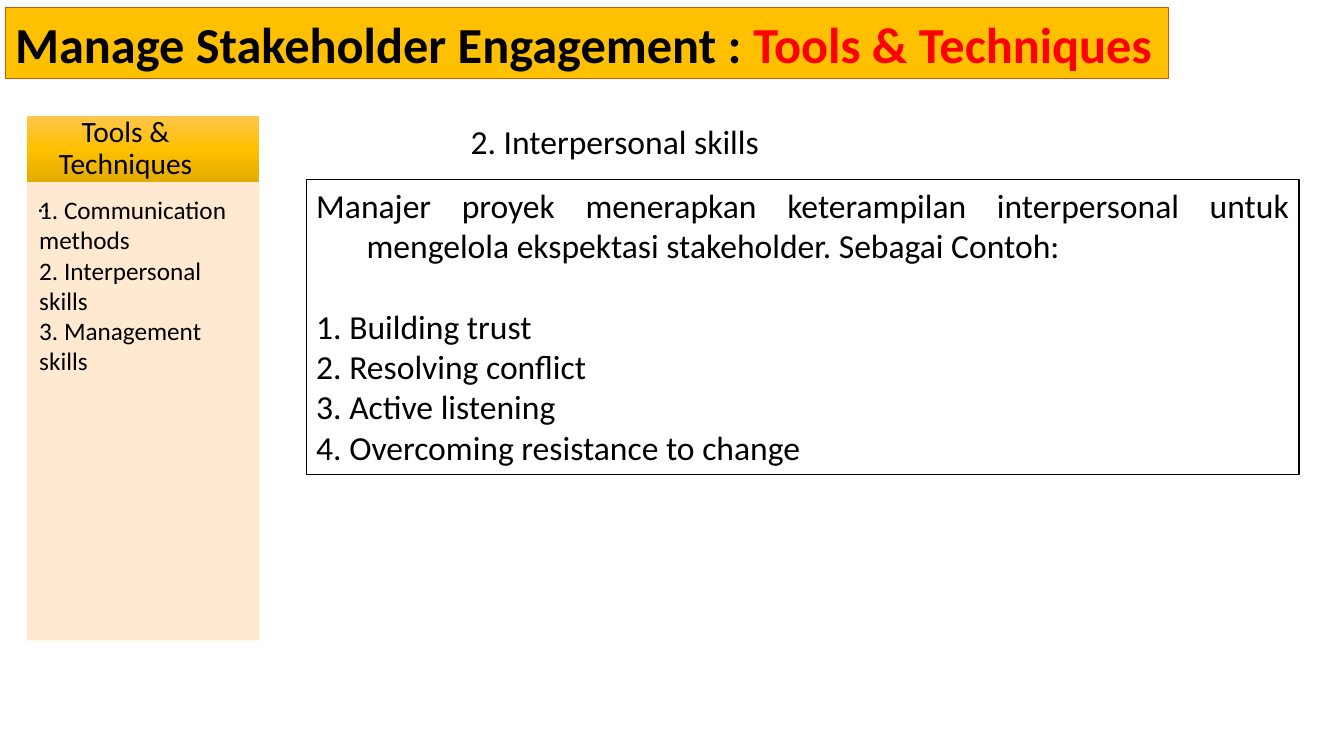
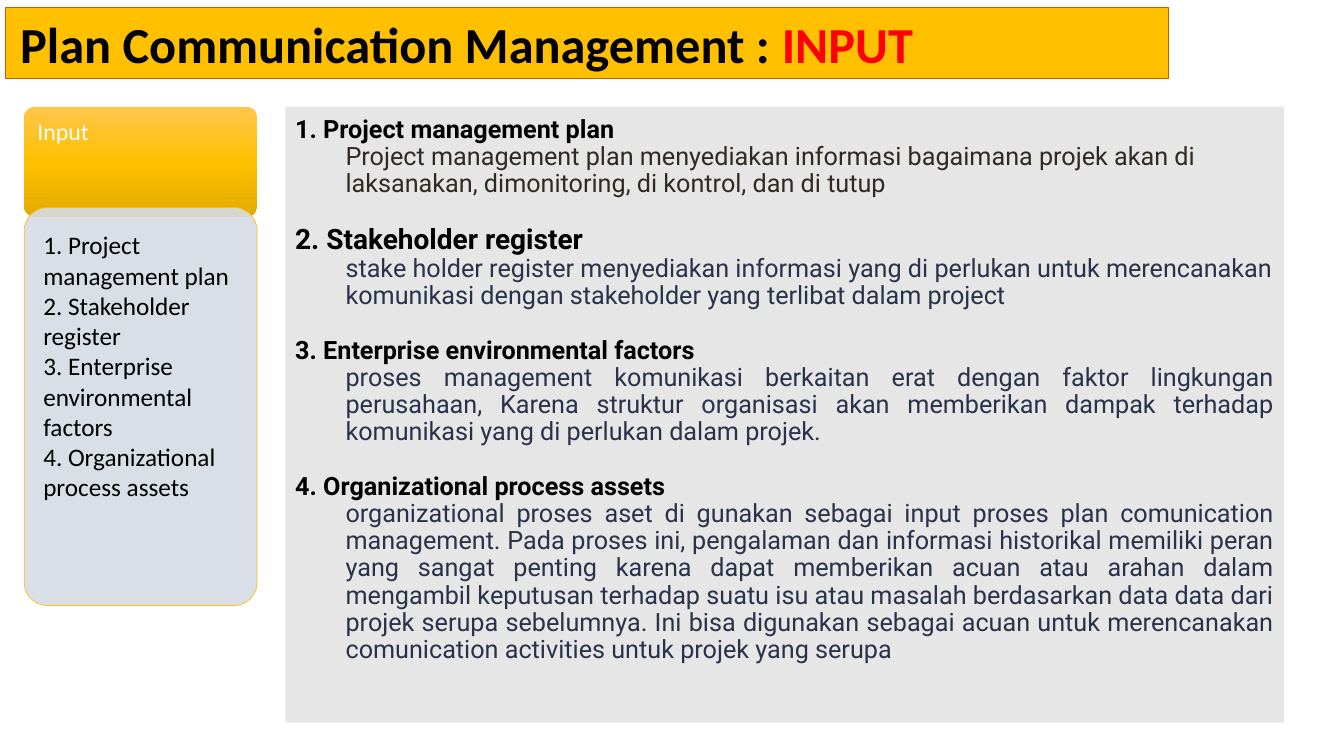
import copy

import pptx
import pptx.dml.color
import pptx.enum.shapes
import pptx.enum.text
import pptx.oxml.ns
import pptx.util
from pptx.util import Cm

RECT = pptx.enum.shapes.MSO_SHAPE.RECTANGLE
ROUNDED = pptx.enum.shapes.MSO_SHAPE.ROUNDED_RECTANGLE
ALIGN = pptx.enum.text.PP_ALIGN
ANCHOR = pptx.enum.text.MSO_ANCHOR

BLACK, WHITE, RED = "000000", "FFFFFF", "FF0000"
GOLD, RUST, PEACH = "FFC000", "C55A11", "FFE8CC"
MIST, GREY = "D6DCE5", "E7E6E6"
NAVY, OLIVE = "28324A", "2F2B20"
GOLD_FADE = ((0, "FFC64B"), (0.5, GOLD), (1, "E3AB00"))
INDENT = 1.27
DEFAULT_INSETS = (0.25, 0.13, 0.25, 0.13)

SKILLS = [
    "1. Building trust",
    "2. Resolving conflict",
    "3. Active listening",
    "4. Overcoming resistance to change",
]
TECHNIQUES = [
    "1. Communication methods",
    "2. Interpersonal skills",
    "3. Management skills",
]
INPUTS = [
    ("1. Project management plan", 18, OLIVE, ALIGN.LEFT,
     "Project management plan menyediakan informasi bagaimana projek akan di "
     "laksanakan, dimonitoring, di kontrol, dan di tutup"),
    ("2. Stakeholder register", 20, NAVY, ALIGN.LEFT,
     "stake holder register menyediakan informasi yang di perlukan untuk "
     "merencanakan komunikasi dengan stakeholder yang terlibat dalam project"),
    ("3. Enterprise environmental factors", 18, NAVY, ALIGN.JUSTIFY,
     "proses management komunikasi berkaitan erat dengan faktor lingkungan "
     "perusahaan, Karena struktur organisasi akan memberikan dampak terhadap "
     "komunikasi yang di perlukan dalam projek."),
    ("4. Organizational process assets", 18, NAVY, ALIGN.JUSTIFY,
     "organizational proses aset di gunakan sebagai input proses plan "
     "comunication management. Pada proses ini, pengalaman dan informasi "
     "historikal memiliki peran yang sangat penting karena dapat memberikan "
     "acuan atau arahan dalam mengambil keputusan terhadap suatu isu atau "
     "masalah berdasarkan data data dari projek serupa sebelumnya. Ini bisa "
     "digunakan sebagai acuan untuk merencanakan comunication activities "
     "untuk projek yang serupa"),
]


def rgb(value):
    """Turn a hex string into a colour."""
    return pptx.dml.color.RGBColor.from_string(value)


def set_frame(frame, insets, anchor):
    """Set wrapping, anchor and the left, top, right and bottom insets."""
    frame.word_wrap = True
    frame.vertical_anchor = anchor
    (frame.margin_left, frame.margin_top,
     frame.margin_right, frame.margin_bottom) = map(Cm, insets)


def write(frame, text, *, size=18, color=BLACK, bold=False, font="Calibri",
          align=ALIGN.LEFT, indent=0, first_line=0, before=0, spacing=1.0,
          accent=""):
    """Add a formatted paragraph, with an optional red ending."""
    paragraph = frame.paragraphs[0]
    if paragraph.runs:
        paragraph = frame.add_paragraph()
    properties = paragraph._p.get_or_add_pPr()
    properties.set("marL", str(Cm(indent)))
    properties.set("indent", str(Cm(first_line)))
    paragraph.alignment = align
    paragraph.line_spacing = spacing
    paragraph.space_before = pptx.util.Pt(before)
    for wording, ink in ((text, color), (accent, RED)):
        if wording:
            run = paragraph.add_run()
            run.text = wording
            run.font.name = font
            run.font.size = pptx.util.Pt(size)
            run.font.bold = bold
            run.font.color.rgb = rgb(ink)


def fade(shape, stops):
    """Fill a shape from top to bottom with three colours."""
    shape.fill.gradient()
    shape.fill.gradient_angle = 270
    stop_list = shape._element.spPr.find(".//" + pptx.oxml.ns.qn("a:gsLst"))
    stop_list.append(copy.deepcopy(stop_list[0]))
    for stop, (position, color) in zip(shape.fill.gradient_stops, stops):
        stop.position = position
        stop.color.rgb = rgb(color)


def make_translucent(shape, percent):
    """Give every plain colour of a shape the same opacity."""
    for color in shape._element.spPr.iter(pptx.oxml.ns.qn("a:srgbClr")):
        alpha = color.makeelement(pptx.oxml.ns.qn("a:alpha"), {"val": str(percent * 1000)})
        color.append(alpha)


def add_panel(slide, box, fill, *, kind=RECT, line=None, width=0.5,
              opacity=100, insets=DEFAULT_INSETS, anchor=ANCHOR.TOP):
    """Add a filled panel and return its text frame."""
    panel = slide.shapes.add_shape(kind, *map(Cm, box))
    panel.shadow.inherit = False
    if kind == ROUNDED:
        panel.adjustments[0] = 0.1
    if isinstance(fill, tuple):
        fade(panel, fill)
    else:
        panel.fill.solid()
        panel.fill.fore_color.rgb = rgb(fill)
    if line:
        panel.line.color.rgb = rgb(line)
        panel.line.width = pptx.util.Pt(width)
    else:
        panel.line.fill.background()
    if opacity < 100:
        make_translucent(panel, opacity)
    set_frame(panel.text_frame, insets, anchor)
    return panel.text_frame


def add_label(slide, box, insets=DEFAULT_INSETS):
    """Add an empty text box and return its text frame."""
    frame = slide.shapes.add_textbox(*map(Cm, box)).text_frame
    set_frame(frame, insets, ANCHOR.TOP)
    return frame


def add_titled_slide(deck, subject, topic, left_inset):
    """Add a blank slide with the gold title band."""
    slide = deck.slides.add_slide(deck.slide_layouts[6])
    title = add_panel(slide, (0.15, 0.2, 29.29, 1.78), GOLD, line=RUST,
                      width=0.75, insets=(left_inset, 0.13, 0.23, 0.13))
    write(title, subject, size=36, bold=True, accent=topic)
    return slide


def build_techniques(deck):
    """Build the slide on stakeholder engagement techniques."""
    slide = add_titled_slide(deck, "Manage Stakeholder Engagement : ",
                             "Tools & Techniques", 0.23)
    header = add_panel(slide, (0.69, 2.92, 5.84, 1.68), GOLD_FADE,
                       insets=(0.41, 0.1, 1.3, 0.1), anchor=ANCHOR.MIDDLE)
    write(header, "Tools & Techniques", size=21, align=ALIGN.CENTER, spacing=0.9)
    sidebar = (0.69, 4.6, 5.84, 11.53)
    write(add_panel(slide, sidebar, PEACH, line=PEACH, opacity=90), "..")
    techniques = add_label(slide, sidebar, insets=(0.3, 0.3, 0.41, 0.46))
    for technique in TECHNIQUES:
        write(techniques, technique)

    write(add_label(slide, (11.61, 2.92, 18.85, 1.27)),
          "2. Interpersonal skills", size=24)
    body = add_panel(slide, (7.72, 4.52, 25.02, 7.44), WHITE, line=BLACK, width=1)
    hanging = {"size": 24, "indent": INDENT, "first_line": -INDENT}
    write(body, "Manajer proyek menerapkan keterampilan interpersonal untuk "
          "mengelola ekspektasi stakeholder. Sebagai Contoh:",
          align=ALIGN.JUSTIFY, **hanging)
    for index, skill in enumerate(SKILLS):
        write(body, skill, before=0 if index else 29, **hanging)


def build_inputs(deck):
    """Build the slide on communication planning inputs."""
    slide = add_titled_slide(deck, "Plan Communication Management : ", "INPUT", 0.36)
    details = add_panel(slide, (7.19, 2.69, 25.17, 15.52), GREY,
                        insets=(0.25, 0.25, 0.25, 0.25))
    header = add_panel(slide, (0.61, 2.69, 5.87, 2.77), GOLD_FADE, kind=ROUNDED,
                       insets=(0.25, 0.25, 0.25, 0.1))
    write(header, "Input", size=17, color=WHITE, spacing=0.9)
    names = add_panel(slide, (0.61, 5.23, 5.87, 10.03), MIST, kind=ROUNDED,
                      line=GOLD, opacity=90, insets=(0.31, 0.39, 0.16, 0.3))
    for index, (name, size, ink, align, explanation) in enumerate(INPUTS):
        write(names, name)
        write(details, name, size=size, bold=True, font="Roboto", spacing=0.9,
              before=19.4 if index else 0)
        write(details, explanation, color=ink, font="Roboto", align=align,
              indent=INDENT, spacing=0.9)


def main():
    """Build and save the deck."""
    deck = pptx.Presentation()
    deck.slide_width, deck.slide_height = Cm(33.87), Cm(19.05)
    build_techniques(deck)
    build_inputs(deck)
    deck.save("out.pptx")


if __name__ == "__main__":
    main()
